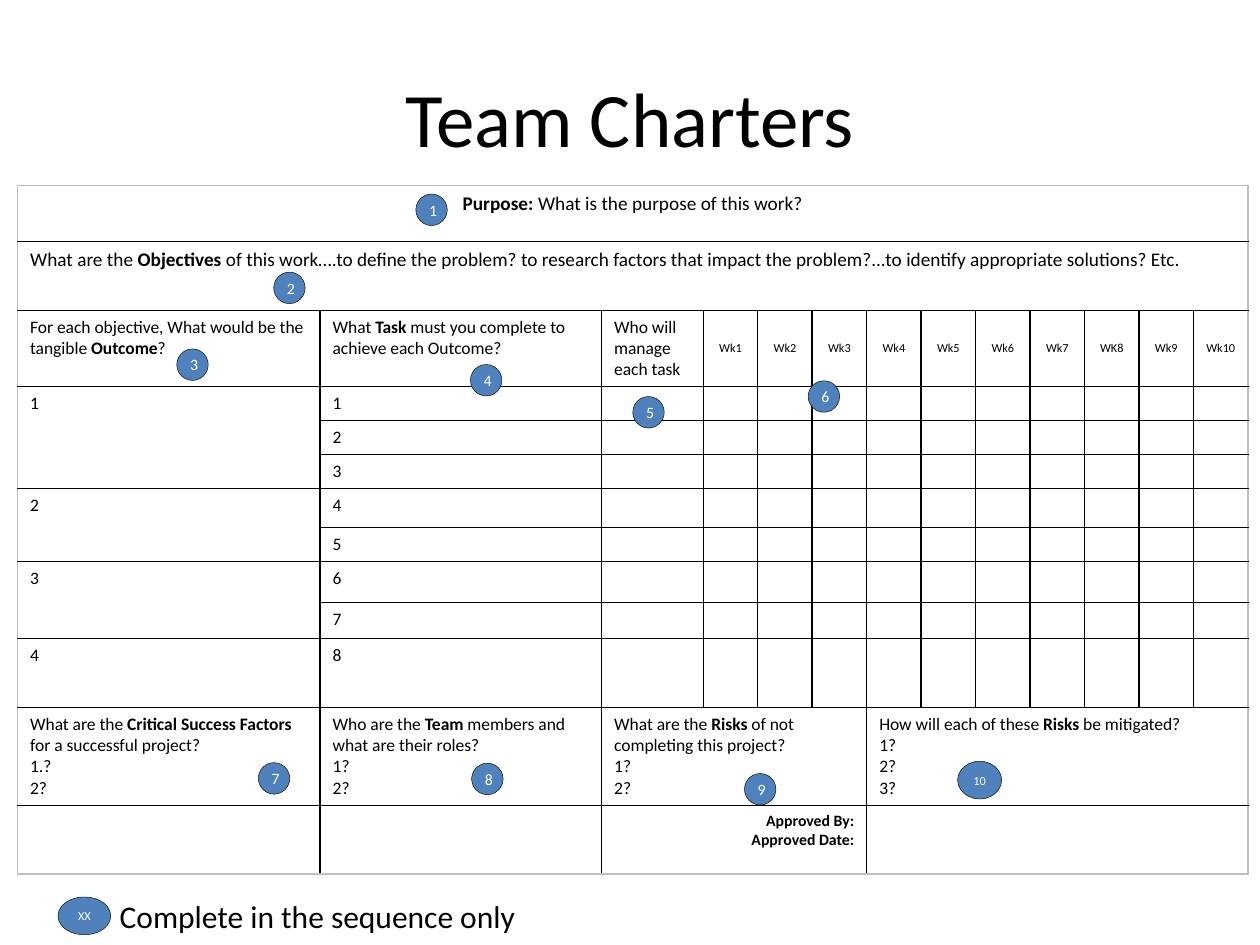
from typing import NamedTuple

from lxml import etree
from pptx import Presentation
from pptx.dml.color import RGBColor
from pptx.enum import shapes, text
from pptx.oxml import ns
from pptx.util import Pt

FONT = "Calibri"
BLACK, WHITE, BLUE, GRAY = "000000", "FFFFFF", "4F81BD", "BFBFBF"
LEFT, CENTER, RIGHT = text.PP_ALIGN.LEFT, text.PP_ALIGN.CENTER, text.PP_ALIGN.RIGHT
TOP, MIDDLE = text.MSO_ANCHOR.TOP, text.MSO_ANCHOR.MIDDLE


class Entry(NamedTuple):
    """Table cell; ** switches bold on and off, a newline starts a paragraph."""
    row: int
    col: int
    words: str
    rows: int = 1
    cols: int = 1
    size: float = 10
    align: text.PP_ALIGN = LEFT
    anchor: text.MSO_ANCHOR = TOP


class Marker(NamedTuple):
    label: str
    x: float
    y: float
    w: float = 18
    h: float = 18
    size: float = 9


COLS = [172.9, 160.9, 58.1] + [31.15] * 10
ROWS = [32, 39.5, 43.5, 19.4, 19.4, 19.4, 22.3, 19.4, 23.6, 20.6, 39.4, 55.9, 39.2]
WEEKS = ["Wk1", "Wk2", "Wk3", "Wk4", "Wk5", "Wk6", "Wk7", "WK8", "Wk9", "Wk10"]
OUTCOME_ROWS = [(3, 3), (6, 2), (8, 2), (10, 1)]

ENTRIES = [
    Entry(0, 0, "**Purpose: **What is the purpose of this work?",
          cols=13, size=11, align=CENTER),
    Entry(1, 0, "What are the **Objectives** of this work….to define the problem? "
          "to research factors that impact the problem?...to identify "
          "appropriate solutions? Etc.", cols=13, size=11),
    Entry(2, 0, "For each objective, What would be the tangible **Outcome**?"),
    Entry(2, 1, "What **Task** must you complete to achieve each Outcome?"),
    Entry(2, 2, "Who will manage each task"),
    *[Entry(2, 3 + i, week, size=7, align=CENTER, anchor=MIDDLE)
      for i, week in enumerate(WEEKS)],
    *[Entry(row, 0, str(i), rows=span)
      for i, (row, span) in enumerate(OUTCOME_ROWS, 1)],
    *[Entry(2 + i, 1, str(i)) for i in range(1, 9)],
    Entry(11, 0, "What are the **Critical Success Factors** for a successful project?"
          "\n1.?\n2?"),
    Entry(11, 1, "Who are the **Team **members and what are their roles?\n1?\n2?"),
    Entry(11, 2, "What are the **Risks** of not completing this project?\n1?\n2?",
          cols=4),
    Entry(11, 6, "How will each of these **Risks** be mitigated?\n1?\n2?\n3?", cols=7),
    Entry(12, 2, "**Approved By:**\n**Approved Date:**", cols=4, size=9, align=RIGHT),
    Entry(12, 6, "", cols=7),
]

MARKERS = [
    Marker("1", 237.6, 110.9), Marker("2", 156.4, 155.5), Marker("3", 101, 199.4),
    Marker("4", 268.8, 208.3), Marker("5", 361.6, 226.6), Marker("6", 461.8, 217.6),
    Marker("7", 147.6, 435.8), Marker("8", 269.5, 436.1), Marker("9", 425.4, 442),
    Marker("10", 547.2, 435, 25.2, 21.6, 7),
    Marker("XX", 33.1, 512.6, 30.2, 21.6, 7),
]


def rgb(color: str) -> RGBColor:
    return RGBColor.from_string(color)


def style(p, size: float, color: str, align: text.PP_ALIGN) -> None:
    p.alignment = align
    p.font.name, p.font.size = FONT, Pt(size)
    p.font.color.rgb = rgb(color)


def set_insets(tf) -> None:
    tf.margin_left = tf.margin_right = Pt(5)
    tf.margin_top = tf.margin_bottom = Pt(2.9)


def add_border(cell, side: str, color: str) -> None:
    tc_pr = cell._tc.get_or_add_tcPr()
    ln = etree.SubElement(tc_pr, ns.qn(f"a:ln{side}"), w=str(Pt(1)))
    fill = etree.SubElement(ln, ns.qn("a:solidFill"))
    etree.SubElement(fill, ns.qn("a:srgbClr"), val=color)


def format_cell(cell, row: int, col: int) -> None:
    """White cell with black rules inside the grid and gray ones around it."""
    outer = {
        "L": col == 0,
        "R": col + max(cell.span_width, 1) == len(COLS),
        "T": row == 0,
        "B": row + max(cell.span_height, 1) == len(ROWS),
    }
    for side, is_outer in outer.items():
        add_border(cell, side, GRAY if is_outer else BLACK)
    cell.fill.solid()
    cell.fill.fore_color.rgb = rgb(WHITE)
    # Keeps empty rows as low as the rows with text
    p = cell.text_frame.paragraphs[0]
    p.font.size = Pt(10)
    p._p.get_or_add_endParaRPr().set("sz", "1000")


def fill_cell(cell, entry: Entry) -> None:
    cell.vertical_anchor = entry.anchor
    tf = cell.text_frame
    for i, line in enumerate(entry.words.split("\n")):
        p = tf.paragraphs[0] if i == 0 else tf.add_paragraph()
        style(p, entry.size, BLACK, entry.align)
        for j, part in enumerate(line.split("**")):
            if part:
                r = p.add_run()
                r.text, r.font.bold = part, j % 2 == 1


def add_charter(s) -> None:
    frame = s.shapes.add_table(len(ROWS), len(COLS), Pt(10), Pt(105.9),
                               Pt(sum(COLS)), Pt(sum(ROWS)))
    table = frame.table
    table.first_row = table.horz_banding = False
    for column, width in zip(table.columns, COLS):
        column.width = Pt(width)
    for row, height in zip(table.rows, ROWS):
        row.height = Pt(height)
    for e in ENTRIES:
        if e.rows * e.cols > 1:
            last = table.cell(e.row + e.rows - 1, e.col + e.cols - 1)
            table.cell(e.row, e.col).merge(last)
    for row in range(len(ROWS)):
        for col in range(len(COLS)):
            format_cell(table.cell(row, col), row, col)
    for e in ENTRIES:
        fill_cell(table.cell(e.row, e.col), e)


def add_marker(s, m: Marker) -> None:
    sp = s.shapes.add_shape(shapes.MSO_SHAPE.OVAL, Pt(m.x), Pt(m.y), Pt(m.w), Pt(m.h))
    sp.shadow.inherit = False
    sp.fill.solid()
    sp.fill.fore_color.rgb = rgb(BLUE)
    sp.line.color.rgb = rgb(BLACK)
    sp.line.width = Pt(0.25)
    tf = sp.text_frame
    set_insets(tf)
    tf.vertical_anchor = MIDDLE
    tf.text = m.label
    style(tf.paragraphs[0], m.size, WHITE, CENTER)


def main() -> None:
    prs = Presentation()
    prs.slide_width, prs.slide_height = Pt(720), Pt(540)
    s = prs.slides.add_slide(prs.slide_layouts[5])

    # Title
    title = s.shapes.title
    title.left, title.top, title.width, title.height = Pt(36), Pt(21.6), Pt(648), Pt(90)
    title.text_frame.text = "Team Charters"
    title.text_frame.vertical_anchor = MIDDLE
    style(title.text_frame.paragraphs[0], 44, BLACK, CENTER)

    # Charter table with numbered steps
    add_charter(s)
    for marker in MARKERS:
        add_marker(s, marker)

    # Legend
    tf = s.shapes.add_textbox(Pt(63.4), Pt(509.8), Pt(238.3), Pt(27.4)).text_frame
    set_insets(tf)
    tf.word_wrap = False
    tf.auto_size = text.MSO_AUTO_SIZE.SHAPE_TO_FIT_TEXT
    tf.text = "Complete in the sequence only"
    style(tf.paragraphs[0], 18, BLACK, LEFT)

    prs.save("out.pptx")


if __name__ == "__main__":
    main()
